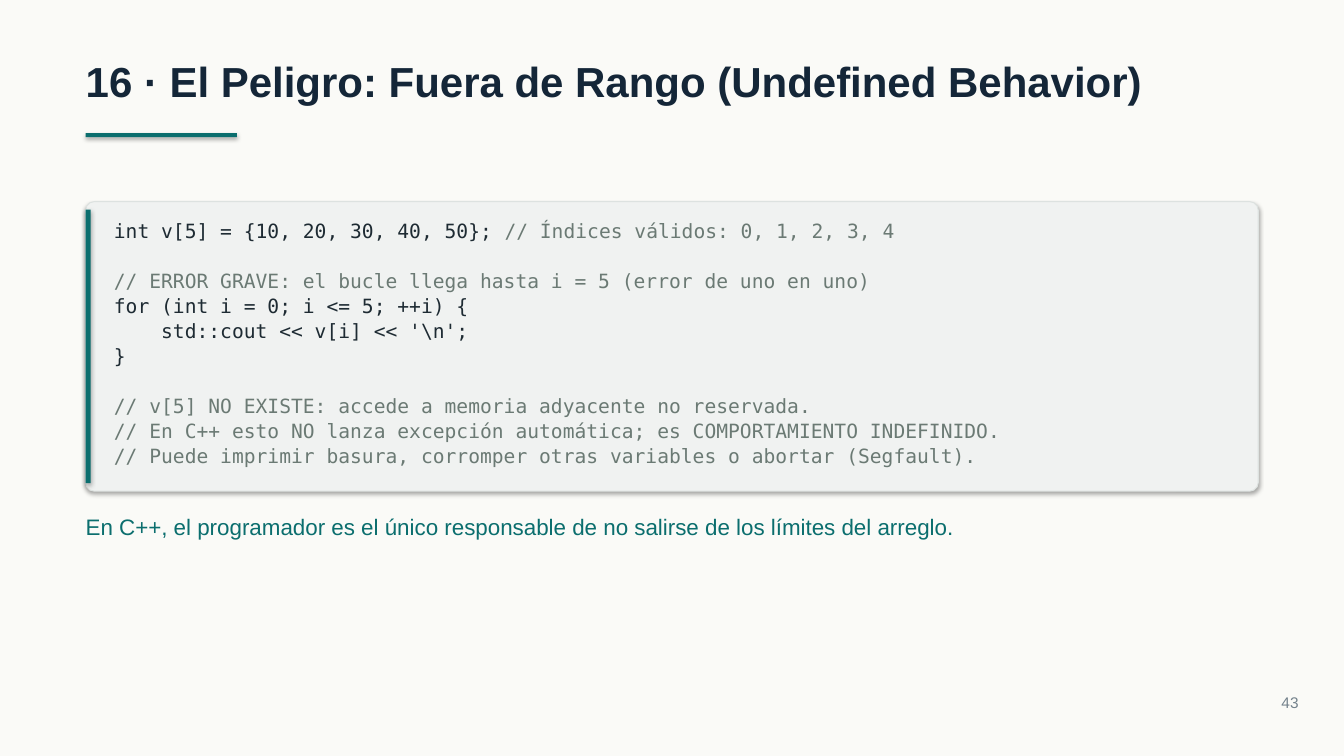
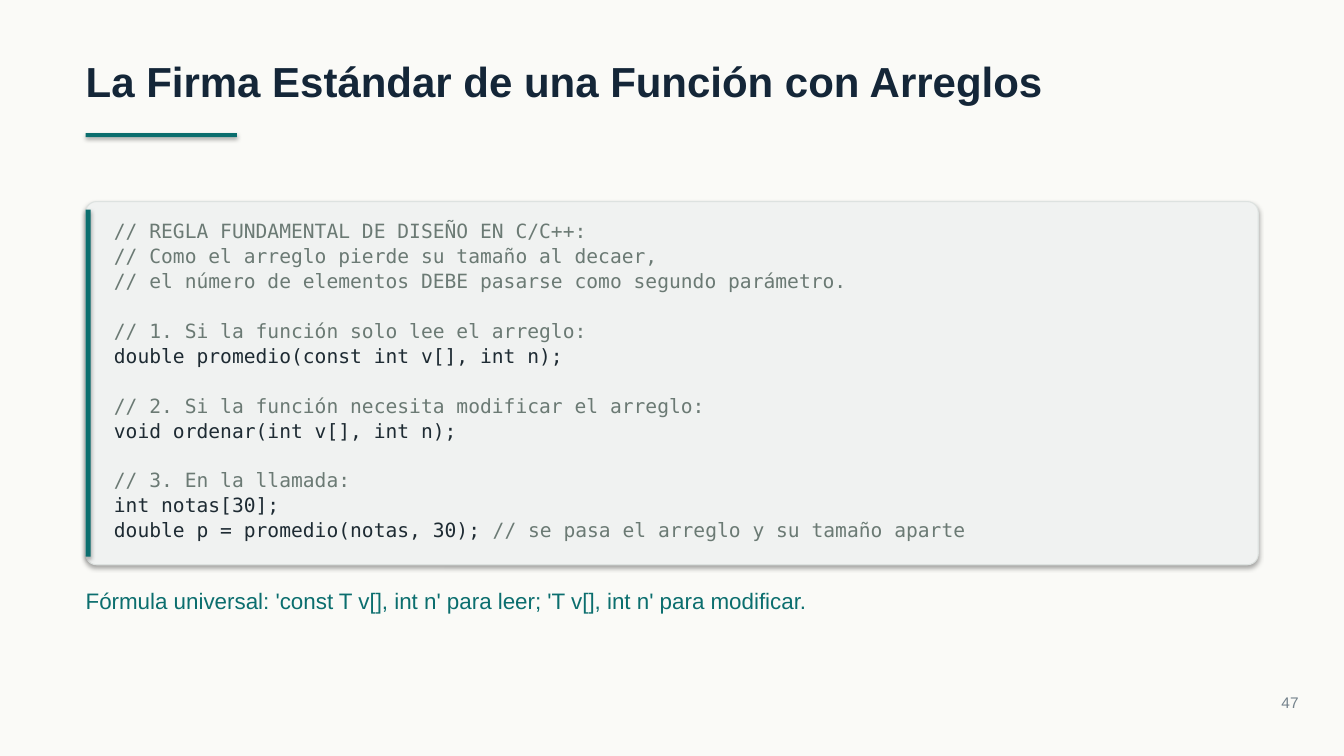
from pptx import Presentation
from pptx.dml.color import RGBColor
from pptx.enum.shapes import MSO_SHAPE
from pptx.enum.text import MSO_ANCHOR, MSO_AUTO_SIZE, PP_ALIGN
from pptx.util import Inches, Pt

COLORS = {
    "background": "FAFAF7",
    "title": "142638",
    "accent": "0B6E6E",
    "panel": "F0F2F1",
    "border": "DDE2E0",
    "code": "1E2B33",
    "comment": "6B7A74",
    "number": "74828C",
}
SANS, MONO = "Arial", "DejaVu Sans Mono"

# Shared geometry, in inches
LEFT, WIDTH = 0.85, 11.63
PANEL_TOP = 2
PANEL_MARGIN = 0.44
ROW = 0.2433
CODE_LINE = Pt(17.8)

SLIDES = [
    {
        "title": "16 · El Peligro: Fuera de Rango (Undefined Behavior)",
        "code": r"""
int v[5] = {10, 20, 30, 40, 50}; // Índices válidos: 0, 1, 2, 3, 4

// ERROR GRAVE: el bucle llega hasta i = 5 (error de uno en uno)
for (int i = 0; i <= 5; ++i) {
    std::cout << v[i] << '\n';
}

// v[5] NO EXISTE: accede a memoria adyacente no reservada.
// En C++ esto NO lanza excepción automática; es COMPORTAMIENTO INDEFINIDO.
// Puede imprimir basura, corromper otras variables o abortar (Segfault).
""",
        "note": "En C++, el programador es el único responsable de no salirse "
                "de los límites del arreglo.",
        "number": "43",
    },
    {
        "title": "La Firma Estándar de una Función con Arreglos",
        "code": r"""
// REGLA FUNDAMENTAL DE DISEÑO EN C/C++:
// Como el arreglo pierde su tamaño al decaer,
// el número de elementos DEBE pasarse como segundo parámetro.

// 1. Si la función solo lee el arreglo:
double promedio(const int v[], int n);

// 2. Si la función necesita modificar el arreglo:
void ordenar(int v[], int n);

// 3. En la llamada:
int notas[30];
double p = promedio(notas, 30); // se pasa el arreglo y su tamaño aparte
""",
        "note": "Fórmula universal: 'const T v[], int n' para leer; "
                "'T v[], int n' para modificar.",
        "number": "47",
    },
]


def rgb(name):
    return RGBColor.from_string(COLORS[name])


def add_run(p, text, size, color, font=SANS, bold=False):
    r = p.add_run()
    r.text = text
    r.font.name = font
    r.font.size = Pt(size)
    r.font.bold = bold
    r.font.color.rgb = rgb(color)


def format_frame(tf):
    tf.margin_left = tf.margin_right = tf.margin_top = tf.margin_bottom = 0
    tf.word_wrap = True
    tf.auto_size = MSO_AUTO_SIZE.SHAPE_TO_FIT_TEXT
    tf.vertical_anchor = MSO_ANCHOR.TOP
    return tf


def add_textbox(s, left, top, width, height):
    box = s.shapes.add_textbox(Inches(left), Inches(top),
                               Inches(width), Inches(height))
    return format_frame(box.text_frame)


def add_line_of_text(s, box, text, size, color, align=PP_ALIGN.LEFT):
    p = add_textbox(s, *box).paragraphs[0]
    p.alignment = align
    add_run(p, text, size, color)


def add_block(s, kind, left, top, width, height, fill):
    # The soft shadow of the theme is kept on purpose
    sp = s.shapes.add_shape(kind, Inches(left), Inches(top),
                            Inches(width), Inches(height))
    sp.fill.solid()
    sp.fill.fore_color.rgb = rgb(fill)
    sp.line.fill.background()
    return sp


def add_title(s, text):
    title = s.shapes.title
    title.left, title.top = Inches(LEFT), Inches(0.55)
    title.width, title.height = Inches(WIDTH), Inches(0.5)
    p = format_frame(title.text_frame).paragraphs[0]
    p.alignment = PP_ALIGN.LEFT
    add_run(p, text, 30, "title", bold=True)
    add_block(s, MSO_SHAPE.RECTANGLE, LEFT, 1.32, 1.5, 0.04, "accent")


def add_code(tf, lines):
    p, gap = tf.paragraphs[0], 0
    for i, line in enumerate(lines):
        if not line:
            gap += CODE_LINE
            continue
        if i:
            p = tf.add_paragraph()
            p.space_before = gap
        gap = 0
        p.line_spacing = 1.06
        statement, mark, comment = line.partition("//")
        if statement:
            add_run(p, statement, 14, "code", MONO)
        if mark:
            add_run(p, mark + comment, 14, "comment", MONO)


def add_code_panel(s, code):
    """Draw the code panel and return its bottom edge in inches."""
    lines = code.strip("\n").split("\n")
    height = PANEL_MARGIN + ROW * len(lines)
    panel = add_block(s, MSO_SHAPE.ROUNDED_RECTANGLE,
                      LEFT, PANEL_TOP, WIDTH, height, "panel")
    panel.adjustments[0] = 0.03
    panel.line.color.rgb = rgb("border")
    panel.line.width = Pt(0.75)
    add_block(s, MSO_SHAPE.RECTANGLE, LEFT, PANEL_TOP + 0.08,
              0.05, height - 0.16, "accent")
    tf = add_textbox(s, LEFT + 0.28, PANEL_TOP + 0.16,
                     WIDTH - 0.45, height - 0.4)
    add_code(tf, lines)
    return PANEL_TOP + height


def build_slide(prs, content):
    s = prs.slides.add_slide(prs.slide_layouts[5])
    add_title(s, content["title"])
    bottom = add_code_panel(s, content["code"])
    add_line_of_text(s, (LEFT, bottom + 0.22, WIDTH, 0.27),
                     content["note"], 16, "accent")
    # Page number
    add_line_of_text(s, (11.98, 6.88, 0.9, 0.18),
                     content["number"], 11, "number", PP_ALIGN.RIGHT)


def main():
    prs = Presentation()
    prs.slide_width, prs.slide_height = Inches(13.33), Inches(7.5)
    # Background shared through the master
    fill = prs.slide_master.background.fill
    fill.solid()
    fill.fore_color.rgb = rgb("background")
    for content in SLIDES:
        build_slide(prs, content)
    prs.save("out.pptx")


if __name__ == "__main__":
    main()
